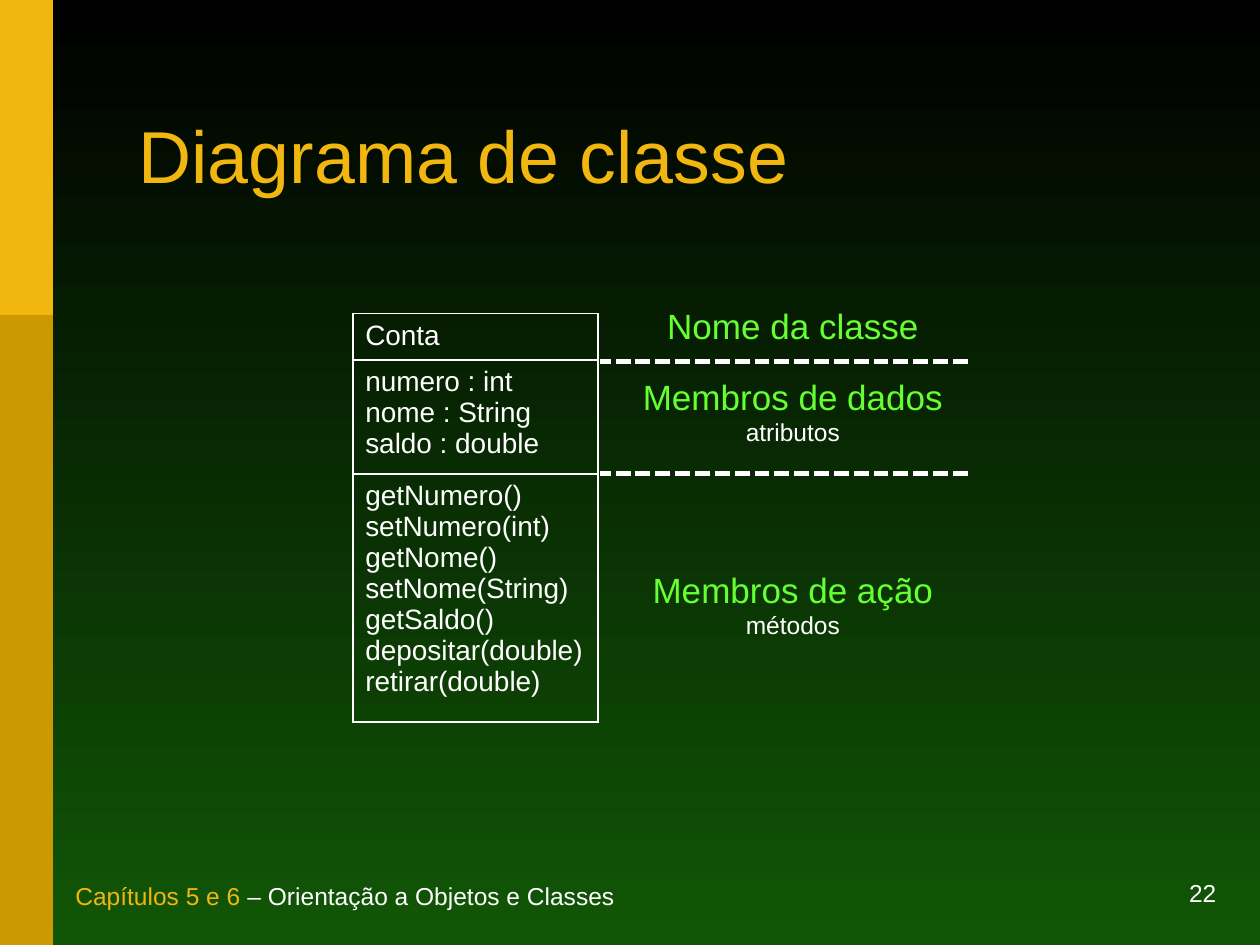
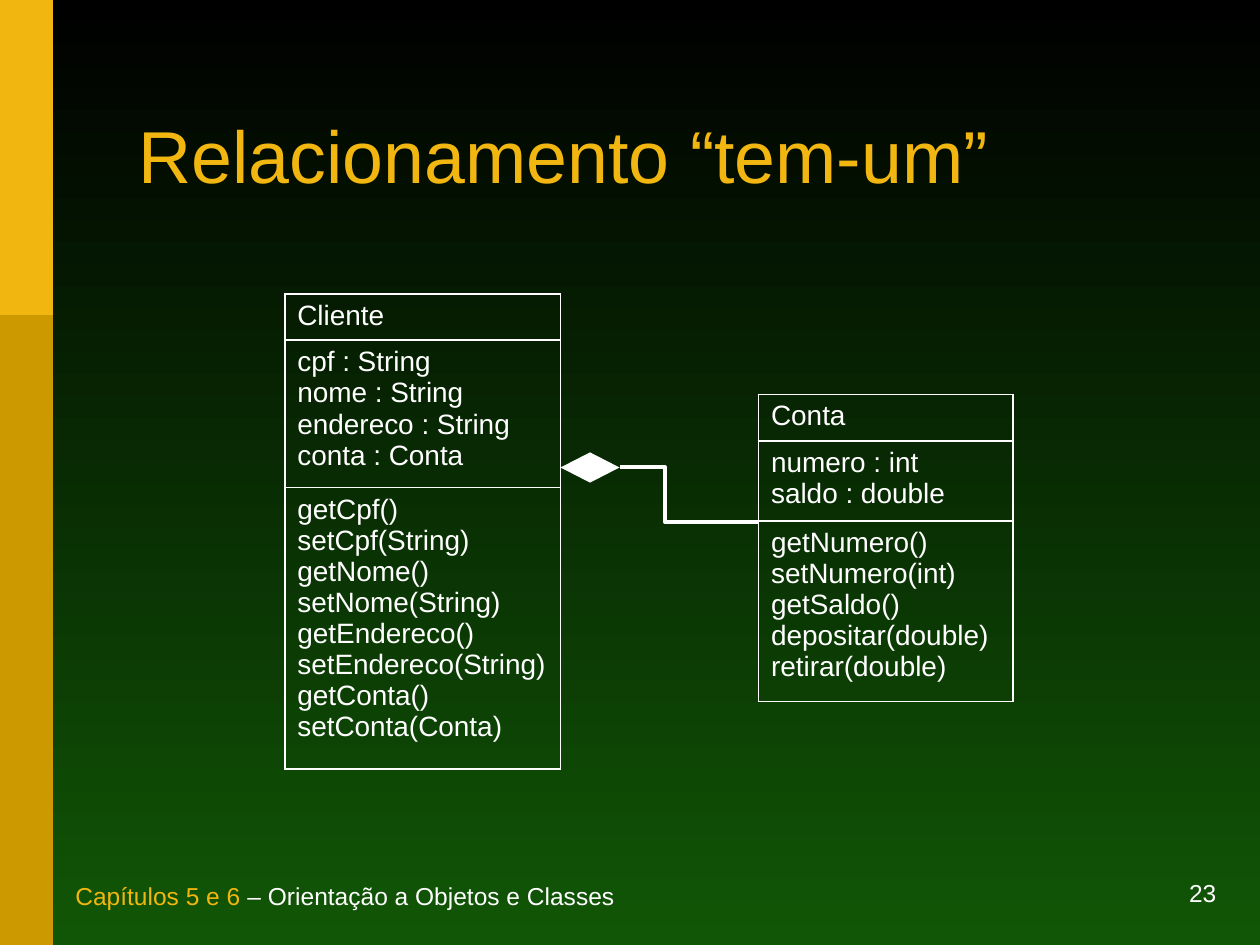
from copy import deepcopy
from dataclasses import dataclass

from lxml.etree import SubElement
from pptx import Presentation
from pptx.dml.color import RGBColor
from pptx.enum.dml import MSO_LINE
from pptx.enum.shapes import MSO_CONNECTOR as Link, MSO_SHAPE as Shape
from pptx.enum.text import MSO_ANCHOR as Anchor, MSO_AUTO_SIZE as AutoSize, PP_ALIGN as Align
from pptx.oxml.ns import qn
from pptx.util import Cm, Pt

COLORS = {
    "top": "000000",
    "bottom": "115606",
    "gold": "F1B60F",
    "ochre": "CC9900",
    "white": "FFFFFF",
    "lime": "66FF33",
}
FONT = "Arial"
BAND_WIDTH = 1.07
SLIDE_WIDTH, SLIDE_HEIGHT = 25.4, 19.05


@dataclass(frozen=True)
class Box:
    left: float
    top: float
    width: float
    height: float

    def lengths(self):
        return Cm(self.left), Cm(self.top), Cm(self.width), Cm(self.height)


@dataclass(frozen=True)
class Compartment:
    height: float
    members: tuple[str, ...]


@dataclass(frozen=True)
class UmlClass:
    left: float
    top: float
    width: float
    compartments: tuple[Compartment, ...]


@dataclass(frozen=True)
class Caption:
    top: float
    height: float
    heading: str
    detail: str = ""


TITLE_BOX = Box(2.54, 1.6, 20.9, 3.28)
FOOTER_BOX = Box(1.27, 17.78, 16.99, 0.69)
NUMBER_BOX = Box(18.42, 17.78, 6.35, 0.64)
DIAMOND_BOX = Box(11.3, 9.12, 1.19, 0.61)

ACCOUNT_DETAILED = UmlClass(7.11, 6.32, 4.95, (
    Compartment(0.94, ("Conta",)),
    Compartment(2.29, ("numero : int", "nome : String", "saldo : double")),
    Compartment(5.0, ("getNumero()", "setNumero(int)", "getNome()", "setNome(String)",
                      "getSaldo()", "depositar(double)", "retirar(double)")),
))
CLIENT = UmlClass(5.74, 5.92, 5.56, (
    Compartment(0.94, ("Cliente",)),
    Compartment(2.97, ("cpf : String", "nome : String", "endereco : String", "conta : Conta")),
    Compartment(5.66, ("getCpf()", "setCpf(String)", "getNome()", "setNome(String)",
                       "getEndereco()", "setEndereco(String)", "getConta()",
                       "setConta(Conta)")),
))
ACCOUNT = UmlClass(15.29, 7.95, 5.13, (
    Compartment(0.94, ("Conta",)),
    Compartment(1.6, ("numero : int", "saldo : double")),
    Compartment(3.63, ("getNumero()", "setNumero(int)", "getSaldo()", "depositar(double)",
                       "retirar(double)")),
))
CAPTIONS = (
    Caption(6.02, 1.12, "Nome da classe"),
    Caption(7.44, 1.7, "Membros de dados", "atributos"),
    Caption(11.33, 1.7, "Membros de ação", "métodos"),
)
DIVIDER_TOPS = (7.29, 9.55)


def color(name: str) -> RGBColor:
    return RGBColor.from_string(COLORS[name])


def write(paragraph, text: str, *, size: float, fill: str = "white", align=Align.LEFT,
          before: float = 0, spacing: float = 1.0) -> None:
    paragraph.alignment = align
    paragraph.space_before = Pt(before)
    paragraph.line_spacing = spacing
    for index, line in enumerate(text.split("\n")):
        if index:
            paragraph.add_line_break()
            paragraph._p[-1].append(deepcopy(run._r.rPr))
        run = paragraph.add_run()
        run.text = line
        run.font.name = FONT
        run.font.size = Pt(size)
        run.font.color.rgb = color(fill)


def add_text_area(slide, box: Box, anchor=Anchor.TOP):
    frame = slide.shapes.add_textbox(*box.lengths()).text_frame
    frame.word_wrap = True
    frame.vertical_anchor = anchor
    return frame.paragraphs[0]


def add_solid(slide, kind, box: Box, fill: str) -> None:
    solid = slide.shapes.add_shape(kind, *box.lengths())
    solid.shadow.inherit = False
    solid.fill.solid()
    solid.fill.fore_color.rgb = color(fill)
    solid.line.fill.background()


def add_line(slide, kind, start: tuple[float, float], end: tuple[float, float], weight: float):
    line = slide.shapes.add_connector(kind, *map(Cm, start + end))
    line.line.color.rgb = color("white")
    line.line.width = Pt(weight)
    SubElement(line._element.spPr, qn("a:effectLst"))
    return line


def add_borders(cell) -> None:
    properties = cell._tc.get_or_add_tcPr()
    for side in ("lnL", "lnR", "lnT", "lnB"):
        border = SubElement(properties, qn(f"a:{side}"), w=str(Pt(1.08)))
        solid = SubElement(border, qn("a:solidFill"))
        SubElement(solid, qn("a:srgbClr"), val=COLORS["white"])


def add_uml_class(slide, uml: UmlClass) -> None:
    box = Box(uml.left, uml.top, uml.width, sum(part.height for part in uml.compartments))
    table = slide.shapes.add_table(len(uml.compartments), 1, *box.lengths()).table
    table.first_row = table.horz_banding = False
    for row, part in zip(table.rows, uml.compartments):
        row.height = Cm(part.height)
        cell = row.cells[0]
        add_borders(cell)
        cell.fill.background()
        write(cell.text_frame.paragraphs[0], "\n".join(part.members), size=16, before=12)


def add_caption(slide, caption: Caption) -> None:
    paragraph = add_text_area(slide, Box(10.69, caption.top, 10.59, caption.height))
    style = {"align": Align.CENTER, "before": 7.5}
    write(paragraph, caption.heading, size=20, fill="lime", **style)
    if caption.detail:
        paragraph.add_line_break()
        paragraph._p[-1].append(deepcopy(paragraph.runs[0]._r.rPr))
        write(paragraph, caption.detail, size=14, **style)


def add_base_slide(deck, title: str, number: int):
    slide = deck.slides.add_slide(deck.slide_layouts[5])
    backdrop = slide.background.fill
    backdrop.gradient()
    backdrop.gradient_angle = 270
    for stop, position, name in zip(backdrop.gradient_stops, (0, 1), ("top", "bottom")):
        stop.position = position
        stop.color.rgb = color(name)

    add_solid(slide, Shape.RECTANGLE, Box(0, 0, BAND_WIDTH, SLIDE_HEIGHT), "ochre")
    add_solid(slide, Shape.RECTANGLE, Box(0, 0, BAND_WIDTH, SLIDE_HEIGHT / 3), "gold")

    heading = slide.shapes.title
    heading.left, heading.top, heading.width, heading.height = TITLE_BOX.lengths()
    heading.text_frame.auto_size = AutoSize.NONE
    heading.text_frame.vertical_anchor = Anchor.MIDDLE
    write(heading.text_frame.paragraphs[0], title, size=42, fill="gold", spacing=0.85)

    footer = add_text_area(slide, FOOTER_BOX, Anchor.BOTTOM)
    write(footer, "Capítulos 5 e 6", size=14, fill="gold")
    write(footer, " – Orientação a Objetos e Classes", size=14)
    page = add_text_area(slide, NUMBER_BOX, Anchor.BOTTOM)
    write(page, str(number), size=14, align=Align.RIGHT)
    return slide


def build_class_diagram(deck) -> None:
    slide = add_base_slide(deck, "Diagrama de classe", 22)
    add_uml_class(slide, ACCOUNT_DETAILED)
    for caption in CAPTIONS:
        add_caption(slide, caption)
    for top in DIVIDER_TOPS:
        divider = add_line(slide, Link.STRAIGHT, (19.51, top), (12.09, top), 2.83)
        divider.line.dash_style = MSO_LINE.SQUARE_DOT


def build_has_a_relationship(deck) -> None:
    slide = add_base_slide(deck, "Relacionamento “tem-um”", 23)
    aggregation = add_line(slide, Link.ELBOW, (ACCOUNT.left, 10.52), (12.5, 9.42), 2.5)
    adjustments = aggregation._element.spPr.find(qn("a:prstGeom")).get_or_add_avLst()
    SubElement(adjustments, qn("a:gd"), name="adj1", fmla="val 67500")
    add_solid(slide, Shape.FLOWCHART_DECISION, DIAMOND_BOX, "white")
    for uml in (CLIENT, ACCOUNT):
        add_uml_class(slide, uml)


def main() -> None:
    deck = Presentation()
    deck.slide_width, deck.slide_height = Cm(SLIDE_WIDTH), Cm(SLIDE_HEIGHT)
    build_class_diagram(deck)
    build_has_a_relationship(deck)
    deck.save("out.pptx")


if __name__ == "__main__":
    main()
